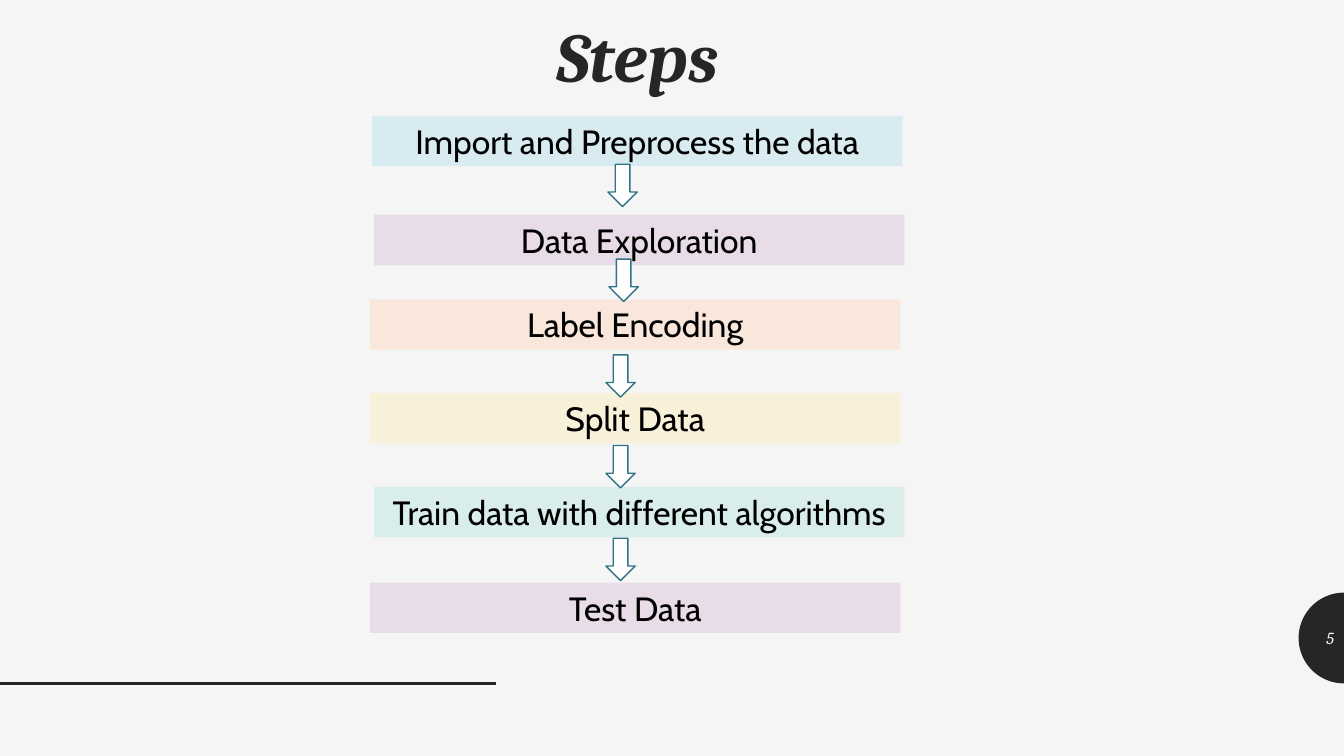
"""Build the "Steps" slide: a vertical flow of six machine learning stages."""
import math
from dataclasses import dataclass

import pptx
import pptx.dml.color
import pptx.enum.shapes
import pptx.enum.text
import pptx.oxml
import pptx.oxml.ns
import pptx.shapes.autoshape
import pptx.slide
import pptx.text.text
import pptx.util

Inches = pptx.util.Inches
RGBColor = pptx.dml.color.RGBColor
Align = pptx.enum.text.PP_ALIGN
Anchor = pptx.enum.text.MSO_ANCHOR
Preset = pptx.enum.shapes.MSO_SHAPE

PAPER = RGBColor(0xF5, 0xF5, 0xF5)
INK = RGBColor(0x26, 0x26, 0x26)
BLACK = RGBColor(0x00, 0x00, 0x00)
WHITE = RGBColor(0xFF, 0xFF, 0xFF)
TEAL = RGBColor(0x30, 0x73, 0x85)
BLUE = RGBColor(0xD8, 0xEB, 0xF0)
MAUVE = RGBColor(0xE7, 0xDC, 0xE7)
PEACH = RGBColor(0xF9, 0xE7, 0xDC)
CREAM = RGBColor(0xF8, 0xF0, 0xD9)
MINT = RGBColor(0xD9, 0xED, 0xEB)

SLIDE_WIDTH, SLIDE_HEIGHT = 13.33, 7.5
STEP_WIDTH, STEP_HEIGHT = 5.26, 0.5
ARROW_WIDTH, ARROW_HEIGHT = 0.29, 0.42
BADGE_RADIUS, BADGE_MIDDLE = 0.45, 6.33
BADGE_SEGMENTS = 48


@dataclass(frozen=True)
class Step:
    label: str
    left: float
    top: float
    color: RGBColor


@dataclass(frozen=True)
class Arrow:
    left: float
    top: float


@dataclass(frozen=True)
class Style:
    font: str
    size: float
    color: RGBColor
    align: Align
    bold: bool = False
    italic: bool = False


STEP_STYLE = Style("Cabin", 24, BLACK, Align.CENTER)
TITLE_STYLE = Style("Cambria", 50, INK, Align.CENTER, bold=True, italic=True)
NUMBER_STYLE = Style("Cambria", 12, PAPER, Align.RIGHT, italic=True)

STEPS = [
    Step("Import and Preprocess the data", 3.69, 1.15, BLUE),
    Step("Data Exploration", 3.71, 2.13, MAUVE),
    Step("Label Encoding", 3.67, 2.97, PEACH),
    Step("Split Data", 3.67, 3.9, CREAM),
    Step("Train data with different algorithms", 3.71, 4.83, MINT),
    Step("Test Data", 3.67, 5.78, MAUVE),
]
ARROWS = [
    Arrow(6.03, 1.63),
    Arrow(6.04, 2.57),
    Arrow(6.01, 3.52),
    Arrow(6.01, 4.42),
    Arrow(6.01, 5.34),
]


def write(frame: pptx.text.text.TextFrame, text: str, style: Style,
          anchor: Anchor = Anchor.TOP) -> None:
    frame.word_wrap = True
    frame.vertical_anchor = anchor
    paragraph = frame.paragraphs[0]
    paragraph.alignment = style.align
    run = paragraph.add_run()
    run.text = text
    run.font.name = style.font
    run.font.size = pptx.util.Pt(style.size)
    run.font.color.rgb = style.color
    run.font.bold = style.bold
    run.font.italic = style.italic


def paint(shape: pptx.shapes.autoshape.Shape, color: RGBColor) -> None:
    shape.shadow.inherit = False
    shape.fill.solid()
    shape.fill.fore_color.rgb = color
    shape.line.fill.background()


def add_badge(slide: pptx.slide.Slide) -> None:
    angles = [math.pi * (0.5 + i / BADGE_SEGMENTS) for i in range(BADGE_SEGMENTS + 1)]
    rim = [(Inches(SLIDE_WIDTH + BADGE_RADIUS * math.cos(angle)),
            Inches(BADGE_MIDDLE + BADGE_RADIUS * math.sin(angle))) for angle in angles]
    outline = slide.shapes.build_freeform(*rim[0])
    outline.add_line_segments(rim[1:], close=True)
    paint(outline.convert_to_shape(), INK)
    number = slide.shapes.add_textbox(
        Inches(SLIDE_WIDTH - BADGE_RADIUS), Inches(6.13), Inches(BADGE_RADIUS), Inches(0.4))
    write(number.text_frame, "5", NUMBER_STYLE, Anchor.MIDDLE)


def add_rule(slide: pptx.slide.Slide) -> None:
    rule = slide.shapes.add_connector(
        pptx.enum.shapes.MSO_CONNECTOR.STRAIGHT,
        Inches(0), Inches(6.78), Inches(4.92), Inches(6.78))
    rule.line.color.rgb = INK
    rule.line.width = pptx.util.Pt(2)
    properties = rule._element.spPr
    properties.append(pptx.oxml.parse_xml(
        f"<a:effectLst {pptx.oxml.ns.nsdecls('a')}/>"))


def add_title(slide: pptx.slide.Slide) -> None:
    title = slide.shapes.add_textbox(Inches(0.86), Inches(0.17), Inches(10.92), Inches(1.03))
    write(title.text_frame, "Steps", TITLE_STYLE)
    title.text_frame.paragraphs[0].line_spacing = 0.9


def add_step(slide: pptx.slide.Slide, step: Step) -> None:
    box = slide.shapes.add_shape(
        Preset.RECTANGLE, Inches(step.left), Inches(step.top),
        Inches(STEP_WIDTH), Inches(STEP_HEIGHT))
    paint(box, step.color)
    write(box.text_frame, step.label, STEP_STYLE)
    box.text_frame.auto_size = pptx.enum.text.MSO_AUTO_SIZE.SHAPE_TO_FIT_TEXT


def add_arrow(slide: pptx.slide.Slide, arrow: Arrow) -> None:
    pointer = slide.shapes.add_shape(
        Preset.DOWN_ARROW, Inches(arrow.left), Inches(arrow.top),
        Inches(ARROW_WIDTH), Inches(ARROW_HEIGHT))
    paint(pointer, WHITE)
    pointer.line.color.rgb = TEAL
    pointer.line.width = pptx.util.Pt(1)


def main() -> None:
    deck = pptx.Presentation()
    deck.slide_width = Inches(SLIDE_WIDTH)
    deck.slide_height = Inches(SLIDE_HEIGHT)
    slide = deck.slides.add_slide(deck.slide_layouts[6])
    slide.background.fill.solid()
    slide.background.fill.fore_color.rgb = PAPER
    add_badge(slide)
    add_rule(slide)
    add_title(slide)
    for step in STEPS:
        add_step(slide, step)
    for arrow in ARROWS:
        add_arrow(slide, arrow)
    deck.save("out.pptx")


if __name__ == "__main__":
    main()
